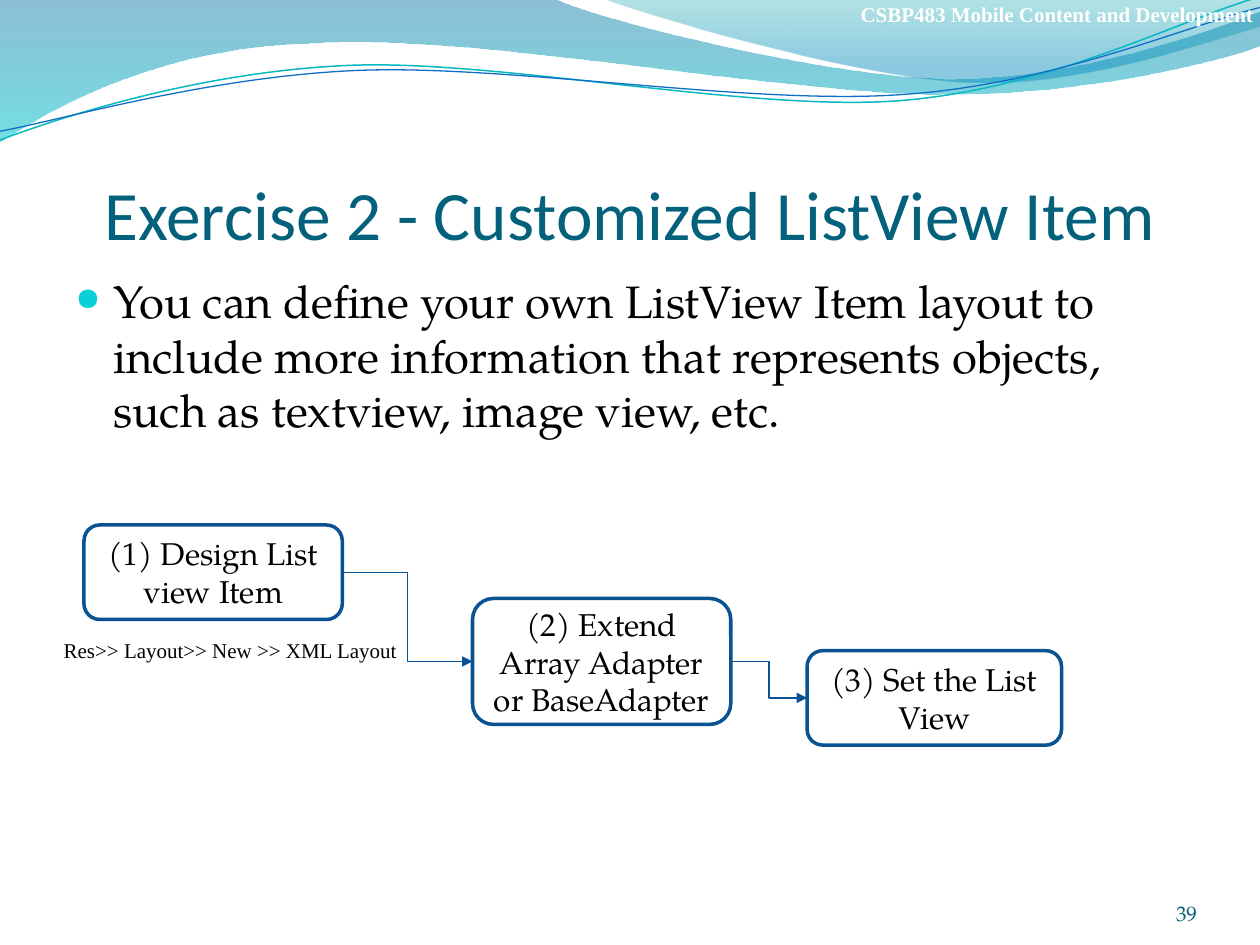
import pptx
import pptx.util
import pptx.dml.color
import pptx.enum.shapes
import pptx.enum.text
import pptx.oxml
import pptx.oxml.ns

Pt = pptx.util.Pt
Rgb = pptx.dml.color.RGBColor.from_string
Align = pptx.enum.text.PP_ALIGN
Anchor = pptx.enum.text.MSO_ANCHOR
Shape = pptx.enum.shapes.MSO_SHAPE
Link = pptx.enum.shapes.MSO_CONNECTOR
qn = pptx.oxml.ns.qn


class Theme:
    """Colours, fonts and type sizes."""
    head, serif, roman = "Calibri", "TeX Gyre Pagella", "Times New Roman"
    white, black, title, page = "FFFFFF", "000000", "04617B", "045D75"
    edge, arrow, bullet = "0B5292", "095295", "0BD0D9"
    teal, blue = "0AB8BF", "0F6FC6"
    wide = (("0074A1", 0, 45), ("00C6CF", 1, 55))
    short = (("00A1A9", 0, 30), ("008BBF", 0.8, 45))
    big, body, step, small = 39.6, 26, 18, 12


FLAT = dict.fromkeys(("margin_left", "margin_top", "margin_right", "margin_bottom"), 0)

WIDE = ((0, 0), (317, -0.7), (343, 12, 478, 45, 546, 45),
        (614, 45, 690, 18.7, 720, 6.5), (721, 26),
        (708, 31.7, 626, 54.7, 537, 54), (448, 54, 275, 20, 185, 24.5),
        (93, 26, 33, 60, -0.7, 81.4), (0, 0))
SHORT = ((345, -0.7), (366, 8, 491, 44.6, 554, 46.8),
         (616, 49.7, 692, 23, 720, 15), (720, 0), (345, -0.7))
UPPER = ((0, 80), (34.6, 67, 113.8, 41, 199.4, 37.4),
         (284.4, 33.8, 427, 64, 513.4, 57.6), (599.8, 51, 675.4, 10.8, 718.6, -1.4))
LOWER = ((0, 75), (33.8, 69, 118, 44, 203.8, 40.3),
         (290.2, 36.7, 429.8, 60.5, 516.2, 54), (602, 48.2, 677.5, 15, 720, 4.3))


def assign(target, values):
    """Set each named value on the target."""
    for name, value in values.items():
        setattr(target, name, value)


def element(text):
    """Make a drawing element."""
    space = 'xmlns:a="http://schemas.openxmlformats.org/drawingml/2006/main"'
    return pptx.oxml.parse_xml(text.replace("/>", f" {space}/>"))


def write(shape, text, size, face, tint, frame=None, para=None, bold=False):
    """Put one formatted paragraph in a shape and return it."""
    assign(shape.text_frame, {"word_wrap": True, **(frame or {})})
    line = shape.text_frame.paragraphs[0]
    assign(line, para or {})
    run = line.add_run()
    run.text = text
    assign(run.font, {"size": Pt(size), "name": face, "bold": bold})
    run.font.color.rgb = Rgb(tint)
    return line


def label(slide, box, *args, **more):
    """Add a text box that fills the given box."""
    return write(slide.shapes.add_textbox(*map(Pt, box)), *args, **more)


def curve(slide, box, segments, close):
    """Draw an outline of lines and cubic curves from the corner of the box."""
    left, top = box[:2]
    ends = [(Pt(left + part[-2]), Pt(top + part[-1])) for part in segments]
    pen = slide.shapes.build_freeform(*ends[0])
    pen.add_line_segments(ends[1:], close=close)
    shape = pen.convert_to_shape()
    shape.shadow.inherit = False
    for node, part in zip(list(shape._element.iter(qn("a:lnTo"))), segments[1:]):
        if len(part) == 6:
            bend = element("<a:cubicBezTo/>")
            for x, y in zip(part[::2], part[1::2]):
                bend.append(element(f'<a:pt x="{Pt(left + x) - shape.left}" '
                                    f'y="{Pt(top + y) - shape.top}"/>'))
            node.getparent().replace(node, bend)
    return shape


def waves(slide, box):
    """Draw the two tinted bands and two thin waves."""
    for segments, stops in ((WIDE, Theme.wide), (SHORT, Theme.short)):
        band = curve(slide, box, segments, True)
        band.line.fill.background()
        band.fill.gradient()
        band.fill.gradient_angle = 270
        for stop, (tint, place, _) in zip(band.fill.gradient_stops, stops):
            stop.color.rgb = Rgb(tint)
            stop.position = place
        for node, (_, _, alpha) in zip(band._element.iter(qn("a:srgbClr")), stops):
            node.append(element(f'<a:alpha val="{alpha * 1000}"/>'))
    for segments, tint, width in ((UPPER, Theme.teal, 0.85), (LOWER, Theme.blue, 0.75)):
        wave = curve(slide, box, segments, False)
        wave.fill.background()
        wave.line.color.rgb = Rgb(tint)
        wave.line.width = Pt(width)


def header(slide, box):
    """Write the course name."""
    label(slide, box, "CSBP483 Mobile Content and Development", Theme.small,
          Theme.roman, Theme.white, bold=True,
          frame={**FLAT, "vertical_anchor": Anchor.BOTTOM})


def title(slide, box):
    """Write the slide title."""
    label(slide, box, "Exercise 2 - Customized ListView Item", Theme.big,
          Theme.head, Theme.title, para={"alignment": Align.CENTER},
          frame={**FLAT, "margin_top": Pt(3.6), "vertical_anchor": Anchor.BOTTOM})


def body(slide, box):
    """Write the bulleted statement."""
    line = label(slide, box, "You can define your own ListView Item layout to include "
                 "more information that represents objects, such as textview, "
                 "image view, etc.", Theme.body, Theme.serif, Theme.black,
                 para={"space_before": Pt(5.2)})
    props = line._p.get_or_add_pPr()
    props.set("marL", str(Pt(21.6)))
    props.set("indent", str(-Pt(21.6)))
    tint = element("<a:buClr/>")
    tint.append(element(f'<a:srgbClr val="{Theme.bullet}"/>'))
    props.extend((tint, element('<a:buSzPct val="70000"/>'),
                  element('<a:buChar char="●"/>')))


def number(slide, box):
    """Write the page number."""
    label(slide, box, "39", Theme.small, Theme.serif, Theme.page,
          para={"alignment": Align.RIGHT},
          frame={**FLAT, "vertical_anchor": Anchor.BOTTOM})


def join(slide, start, end):
    """Link two steps with a bent arrow."""
    link = slide.shapes.add_connector(Link.ELBOW, 0, 0, 0, 0)
    link.begin_connect(start, 3)
    link.end_connect(end, 1)
    link.line.color.rgb = Rgb(Theme.arrow)
    link.line.width = Pt(0.75)
    link.line._get_or_add_ln().append(element('<a:tailEnd type="triangle"/>'))
    link._element.spPr.append(element("<a:effectLst/>"))


def flow(slide, box):
    """Draw the three linked steps and the menu hint."""
    left, top = box[:2]
    steps = (("(1) Design List view Item", 0, 0, 147.6, 54),
             ("(2) Extend Array Adapter or BaseAdapter", 222, 42, 147.6, 72),
             ("(3) Set the List View", 413.2, 71.8, 145.4, 54))
    cards = []
    for text, x, y, width, height in steps:
        card = slide.shapes.add_shape(Shape.ROUNDED_RECTANGLE,
                                      *map(Pt, (left + x, top + y, width, height)))
        card.shadow.inherit = False
        card.fill.background()
        card.line.color.rgb = Rgb(Theme.edge)
        card.line.width = Pt(2)
        write(card, text, Theme.step, Theme.serif, Theme.black,
              frame={"vertical_anchor": Anchor.MIDDLE},
              para={"alignment": Align.CENTER})
        cards.append(card)
    label(slide, (left - 18.7, top + 60.7, 210.2, 21.6),
          "Res>> Layout>> New >> XML Layout", Theme.small, Theme.roman, Theme.black)
    for start, end in zip(cards, cards[1:]):
        join(slide, start, end)


def main():
    """Build and save the slide."""
    deck = pptx.Presentation()
    assign(deck, {"slide_width": Pt(720), "slide_height": Pt(540)})
    slide = deck.slides.add_slide(deck.slide_layouts[6])
    waves(slide, (0, 0, 720, 82))
    header(slide, (491.8, -13.7, 264.2, 28.8))
    title(slide, (36, 55.4, 648, 90))
    body(slide, (36, 152.6, 648, 345.6))
    number(slide, (624.2, 500.4, 59.8, 28.8))
    flow(slide, (48, 300, 558.6, 125.8))
    deck.save("out.pptx")


if __name__ == "__main__":
    main()
